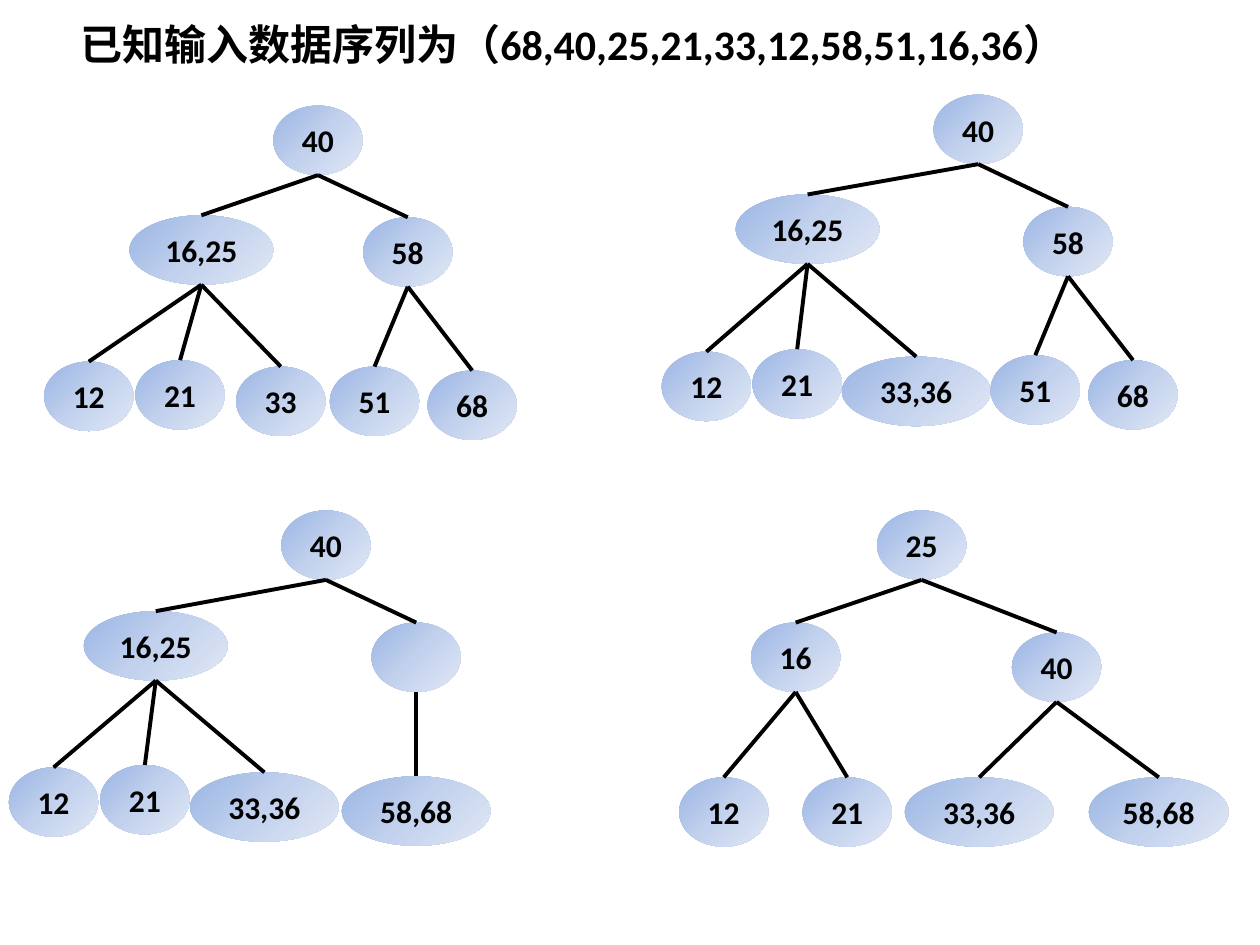
from copy import deepcopy
from dataclasses import dataclass

from lxml.etree import SubElement
from pptx import Presentation
from pptx.dml.color import RGBColor
from pptx.enum.shapes import MSO_CONNECTOR, MSO_SHAPE
from pptx.enum.text import MSO_ANCHOR, MSO_AUTO_SIZE, PP_ALIGN
from pptx.oxml.ns import qn
from pptx.util import Cm, Pt


@dataclass(frozen=True)
class Theme:
    font: str = "Calibri"
    ink: RGBColor = RGBColor(0x00, 0x00, 0x00)
    node_gradient: tuple = ("9AB5E4", "C2D1ED", "E1E8F5")
    gradient_angle: int = 315
    title_size: Pt = Pt(24)
    node_size: Pt = Pt(18)
    edge_width: Pt = Pt(2.25)


@dataclass(frozen=True)
class Node:
    """A tree node: keys, horizontal centre and top in cm, and its children."""
    keys: str
    center: float
    top: float
    children: tuple = ()
    width: float = 0


THEME = Theme()
NODE_HEIGHT = 1.4
ONE_KEY_WIDTH = 1.8
TWO_KEY_WIDTH = 3
TITLE = "已知输入数据序列为（68,40,25,21,33,12,58,51,16,36）"

TREES = (
    Node("40", 6.41, 2.13, (
        Node("16,25", 4.06, 4.34, (
            Node("12", 1.79, 7.29),
            Node("21", 3.63, 7.26),
            Node("33", 5.66, 7.39)), 2.9),
        Node("58", 8.22, 4.38, (
            Node("51", 7.55, 7.39),
            Node("68", 9.52, 7.47))))),
    Node("40", 19.72, 1.91, (
        Node("16,25", 16.28, 3.92, (
            Node("12", 14.24, 7.09),
            Node("21", 16.07, 7.04),
            Node("33,36", 18.47, 7.19)), 2.9),
        Node("58", 21.53, 4.17, (
            Node("51", 20.87, 7.16),
            Node("68", 22.84, 7.26))))),
    Node("40", 6.57, 10.29, (
        Node("16,25", 3.14, 12.32, (
            Node("12", 1.08, 15.47),
            Node("21", 2.92, 15.42),
            Node("33,36", 5.33, 15.57)), 2.9),
        Node("", 8.39, 12.55, (
            Node("58,68", 8.39, 15.65),)))),
    Node("25", 18.58, 10.29, (
        Node("16", 16.04, 12.55, (
            Node("12", 14.59, 15.67),
            Node("21", 17.08, 15.67))),
        Node("40", 21.3, 12.75, (
            Node("33,36", 19.74, 15.67),
            Node("58,68", 23.36, 15.67, width=2.82))))),
)


def add_run(paragraph, text, size):
    run = paragraph.add_run()
    run.text = text
    run.font.name = THEME.font
    run.font.size = size
    run.font.bold = True
    run.font.color.rgb = THEME.ink


def add_title(slide):
    frame = slide.shapes.add_textbox(
        Cm(1.37), Cm(-0.25), Cm(23.4), Cm(1.63)).text_frame
    frame.word_wrap = True
    frame.auto_size = MSO_AUTO_SIZE.SHAPE_TO_FIT_TEXT
    paragraph = frame.paragraphs[0]
    paragraph.line_spacing = 1.5
    add_run(paragraph, TITLE, THEME.title_size)


def fill_with_gradient(shape):
    shape.fill.gradient()
    shape.fill.gradient_angle = THEME.gradient_angle
    stop_list = shape.element.spPr.find(".//" + qn("a:gsLst"))
    stop_list.insert(1, deepcopy(stop_list[0]))
    stops = shape.fill.gradient_stops
    for index, (stop, color) in enumerate(zip(stops, THEME.node_gradient)):
        stop.position = index / 2
        stop.color.rgb = RGBColor.from_string(color)


def add_node(slide, node):
    width = node.width or (TWO_KEY_WIDTH if "," in node.keys else ONE_KEY_WIDTH)
    shape = slide.shapes.add_shape(
        MSO_SHAPE.OVAL, Cm(node.center - width / 2), Cm(node.top),
        Cm(width), Cm(NODE_HEIGHT))
    shape.shadow.inherit = False
    shape.line.fill.background()
    fill_with_gradient(shape)
    if node.keys:
        frame = shape.text_frame
        frame.margin_left = frame.margin_right = Cm(0)
        frame.vertical_anchor = MSO_ANCHOR.MIDDLE
        paragraph = frame.paragraphs[0]
        paragraph.alignment = PP_ALIGN.CENTER
        add_run(paragraph, node.keys, THEME.node_size)
    return shape


def add_edge(slide, parent, child, child_shape):
    edge = slide.shapes.add_connector(
        MSO_CONNECTOR.STRAIGHT, Cm(parent.center), Cm(parent.top + NODE_HEIGHT),
        Cm(child.center), Cm(child.top))
    edge.end_connect(child_shape, 0)
    edge.line.color.rgb = THEME.ink
    edge.line.width = THEME.edge_width
    SubElement(edge.element.spPr, qn("a:effectLst"))


def add_tree(slide, node):
    """Draw a node and, below it, each subtree with its edge."""
    shape = add_node(slide, node)
    for child in node.children:
        child_shape = add_tree(slide, child)
        add_edge(slide, node, child, child_shape)
    return shape


def main():
    presentation = Presentation()
    presentation.slide_width = Cm(25.4)
    presentation.slide_height = Cm(19.05)
    slide = presentation.slides.add_slide(presentation.slide_layouts[6])
    for tree in TREES:
        add_tree(slide, tree)
    add_title(slide)
    presentation.save("out.pptx")


if __name__ == "__main__":
    main()
